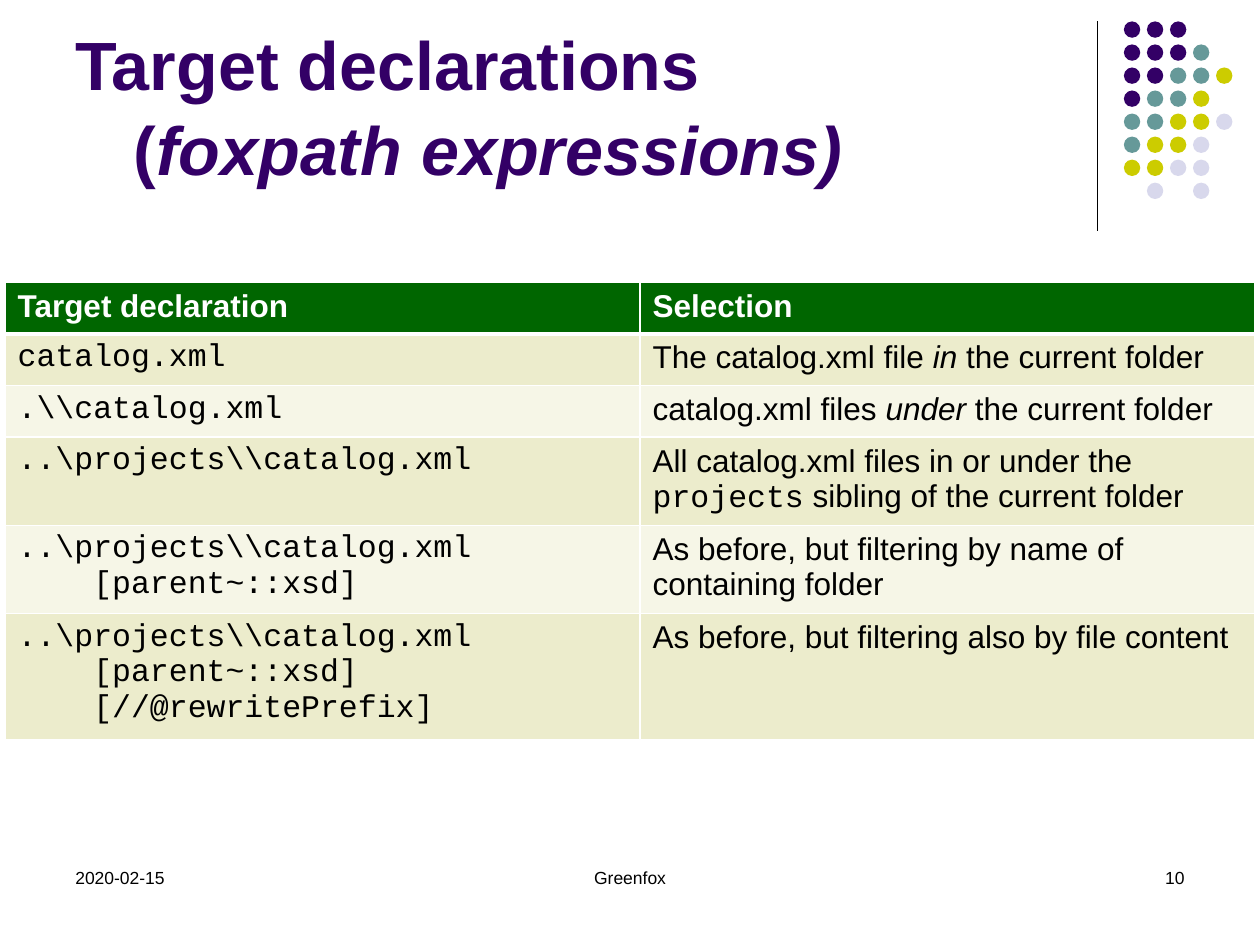
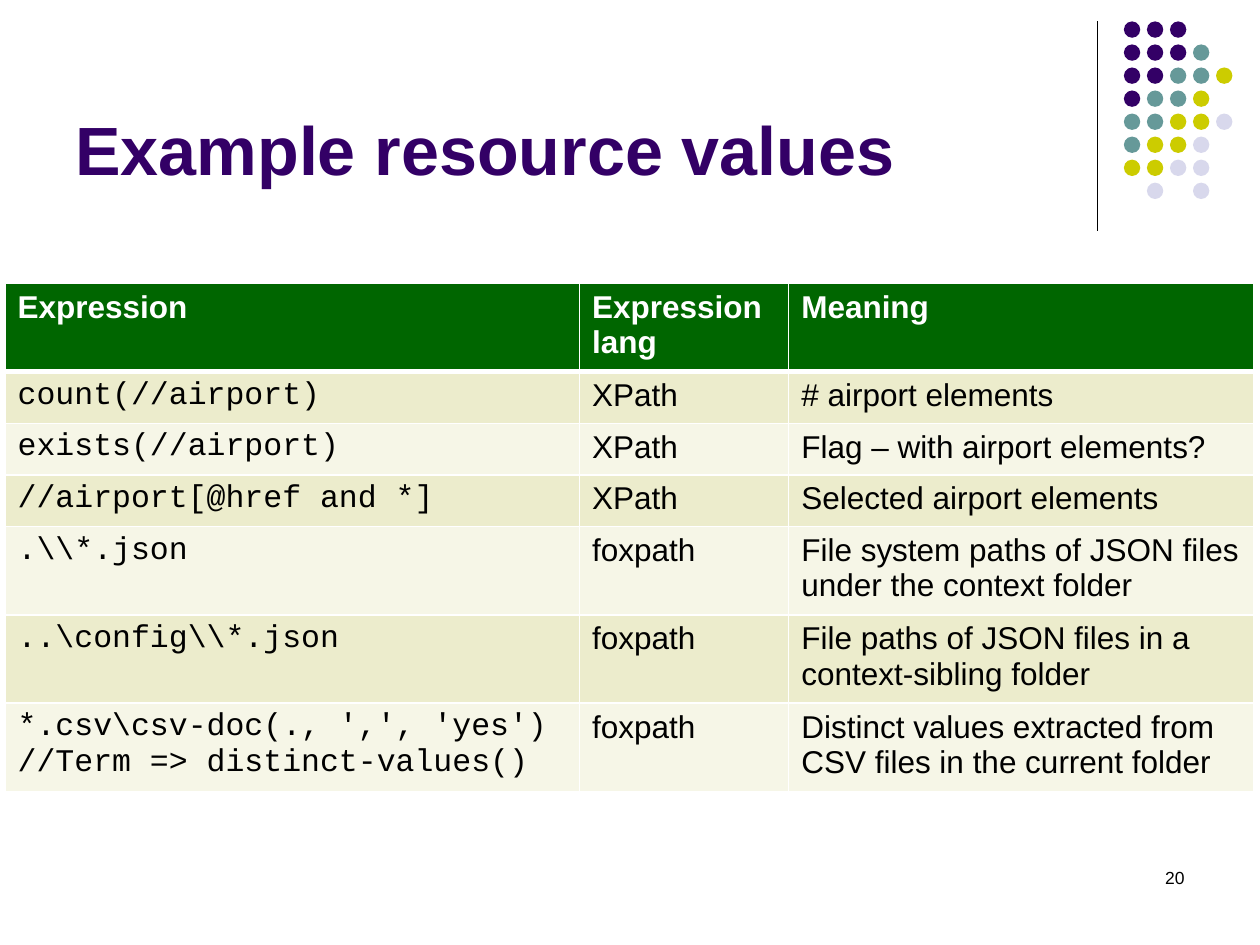
from pptx import Presentation
from pptx.dml.color import RGBColor
from pptx.enum.shapes import MSO_CONNECTOR, MSO_SHAPE
from pptx.enum.text import MSO_ANCHOR as Anchor, PP_ALIGN as Align
from pptx.oxml.ns import qn
from pptx.util import Inches, Pt
from lxml.etree import SubElement, Element

SANS, MONO = "Arial", "Courier New"
BLACK, WHITE, PURPLE = "000000", "FFFFFF", "330066"
HEADER, BANDS = "006600", ("ECECCC", "F6F6E7")
DOT_COLOURS = {"p": PURPLE, "t": "669999", "y": "CCCC00", "l": "D8D8EC"}
DOT_ROWS = ("ppp", "pppt", "pptty", "ptty", "ttyyl", "tyyl", "yyll", " l l")


def rgb(value):
    """Turn a hex string into a colour."""
    return RGBColor.from_string(value)


class Deck:
    """Holds the style and the current slide."""

    def __init__(self):
        """Start an empty 10 by 7.5 inch presentation."""
        self.presentation = Presentation()
        self.presentation.slide_width = Inches(10)
        self.presentation.slide_height = Inches(7.5)
        self.slide = None

    def start(self, title_lines, page):
        """Add a slide with its dots, title and page number."""
        blank = self.presentation.slide_layouts[6]
        self.slide = self.presentation.slides.add_slide(blank)
        self.rule()
        self.dots()
        self.title(title_lines)
        self.footer(page, 7.17, 2.33, Align.RIGHT)

    def rule(self):
        """Draw the vertical line beside the dots."""
        rule = self.slide.shapes.add_connector(
            MSO_CONNECTOR.STRAIGHT, Inches(8.71), Inches(0.17), Inches(8.71), Inches(1.83))
        rule.line.color.rgb = rgb(BLACK)
        rule.line.width = Pt(0.75)
        SubElement(rule._element.spPr, qn("a:effectLst"))

    def dots(self):
        """Draw the grid of coloured dots as one group."""
        group = self.slide.shapes.add_group_shape()
        pitch = Inches(1.28) / 7
        for row, letters in enumerate(DOT_ROWS):
            for column, letter in enumerate(letters):
                if letter in DOT_COLOURS:
                    dot = group.shapes.add_shape(
                        MSO_SHAPE.OVAL, int(Inches(8.92) + column * pitch),
                        int(Inches(0.17) + row * pitch), Inches(0.13), Inches(0.13))
                    dot.shadow.inherit = False
                    dot.fill.solid()
                    dot.fill.fore_color.rgb = rgb(DOT_COLOURS[letter])
                    dot.line.fill.background()

    def run(self, paragraph, text, size, colour=BLACK, font=SANS, bold=False, italic=False):
        """Add one styled run."""
        run = paragraph.add_run()
        run.text = text
        run.font.size, run.font.name = Pt(size), font
        run.font.bold, run.font.italic = bold, italic
        run.font.color.rgb = rgb(colour)

    def line(self, frame, number, indent=0):
        """Return the numbered paragraph of a frame, indented if asked."""
        paragraph = frame.add_paragraph() if number else frame.paragraphs[0]
        if indent:
            properties = paragraph._p.get_or_add_pPr()
            properties.set("marL", str(Inches(indent)))
            properties.set("indent", "0")
        return paragraph

    def box(self, left, top, width, height):
        """Add a wrapping text box and return its frame."""
        frame = self.slide.shapes.add_textbox(
            Inches(left), Inches(top), Inches(width), Inches(height)).text_frame
        frame.word_wrap = True
        return frame

    def title(self, lines):
        """Write the title, indenting every line after the first."""
        frame = self.box(0.5, 0.13, 8.25, 1.42)
        frame.vertical_anchor = Anchor.BOTTOM
        for number, runs in enumerate(lines):
            paragraph = self.line(frame, number, 0.46 if number else 0)
            paragraph.space_before = Pt(2 if number else 0)
            for text, italic in runs:
                self.run(paragraph, text, 39, PURPLE, bold=True, italic=italic)

    def footer(self, text, left, width, align=Align.LEFT):
        """Write one footer entry."""
        paragraph = self.box(left, 6.83, width, 0.5).paragraphs[0]
        paragraph.alignment = align
        self.run(paragraph, text, 10)

    def style_cell(self, cell, fill, top, bottom):
        """Give a cell its fill and white borders."""
        cell.fill.solid()
        cell.fill.fore_color.rgb = rgb(fill)
        properties = cell._tc.get_or_add_tcPr()
        for place, (side, width) in enumerate(
                (("lnL", 1), ("lnR", 1), ("lnT", top), ("lnB", bottom))):
            border = Element(qn("a:" + side), w=str(Pt(width)))
            SubElement(SubElement(border, qn("a:solidFill")), qn("a:srgbClr"), val=WHITE)
            properties.insert(place, border)

    def code(self, frame, source):
        """Write code line by line, indenting the predicates in brackets."""
        for number, text in enumerate(source.split("\n")):
            paragraph = self.line(frame, number, 0.6 if text.startswith("[") else 0)
            self.run(paragraph, text, 18, font=MONO)

    def table(self, top, widths, headings, rows):
        """Add a banded table whose first column holds code."""
        table = self.slide.shapes.add_table(
            len(rows) + 1, len(widths), Inches(0.04), Inches(top),
            Inches(sum(widths)), Inches(0.41) * (len(rows) + 1)).table
        table.horz_banding = False
        for column, width in zip(table.columns, widths):
            column.width = Inches(width)
        for cell, heading in zip(table.rows[0].cells, headings):
            self.style_cell(cell, HEADER, 1, 3)
            self.run(cell.text_frame.paragraphs[0], heading, 18, WHITE, bold=True)
        for number, (source, *notes) in enumerate(rows):
            cells = list(table.rows[number + 1].cells)
            for cell in cells:
                self.style_cell(cell, BANDS[number % 2], 1 if number else 3, 1)
            self.code(cells[0].text_frame, source)
            for cell, note in zip(cells[1:], notes):
                runs = [(note, {})] if isinstance(note, str) else note
                for text, style in runs:
                    self.run(cell.text_frame.paragraphs[0], text, 18, **style)


def main():
    """Build both slides and save them."""
    deck = Deck()
    italic, mono = {"italic": True}, {"font": MONO}

    deck.start([[("Target declarations", False)],
                [("(", False), ("foxpath expressions)", True)]], "10")
    deck.footer("2020-02-15", 0.5, 2.33)
    deck.footer("Greenfox", 3.19, 3.62, Align.CENTER)
    projects = r"..\projects\\catalog.xml"
    deck.table(2.24, (5.04, 4.88), ("Target declaration", "Selection"), [
        ("catalog.xml",
         [("The catalog.xml file ", {}), ("in", italic), (" the current folder", {})]),
        (r".\\catalog.xml",
         [("catalog.xml files ", {}), ("under", italic), (" the current folder", {})]),
        (projects,
         [("All catalog.xml files in or under the ", {}), ("projects", mono),
          (" sibling of the current folder", {})]),
        (projects + "\n[parent~::xsd]",
         "As before, but filtering by name of containing folder"),
        (projects + "\n[parent~::xsd]\n[//@rewritePrefix]",
         "As before, but filtering also by file content"),
    ])

    deck.start([[("Example resource values", False)]], "20")
    deck.table(2.25, (4.56, 1.66, 3.69), ("Expression", "Expression lang", "Meaning"), [
        ("count(//airport)", "XPath", "# airport elements"),
        ("exists(//airport)", "XPath", "Flag – with airport elements?"),
        ("//airport[@href and *]", "XPath", "Selected airport elements"),
        (r".\\*.json", "foxpath", "File system paths of JSON files under the context folder"),
        (r"..\config\\*.json", "foxpath",
         "File paths of JSON files in a context-sibling folder"),
        ("*.csv\\csv-doc(., ',', 'yes')\n//Term => distinct-values()", "foxpath",
         "Distinct values extracted from CSV files in the current folder"),
    ])
    deck.presentation.save("out.pptx")


if __name__ == "__main__":
    main()
